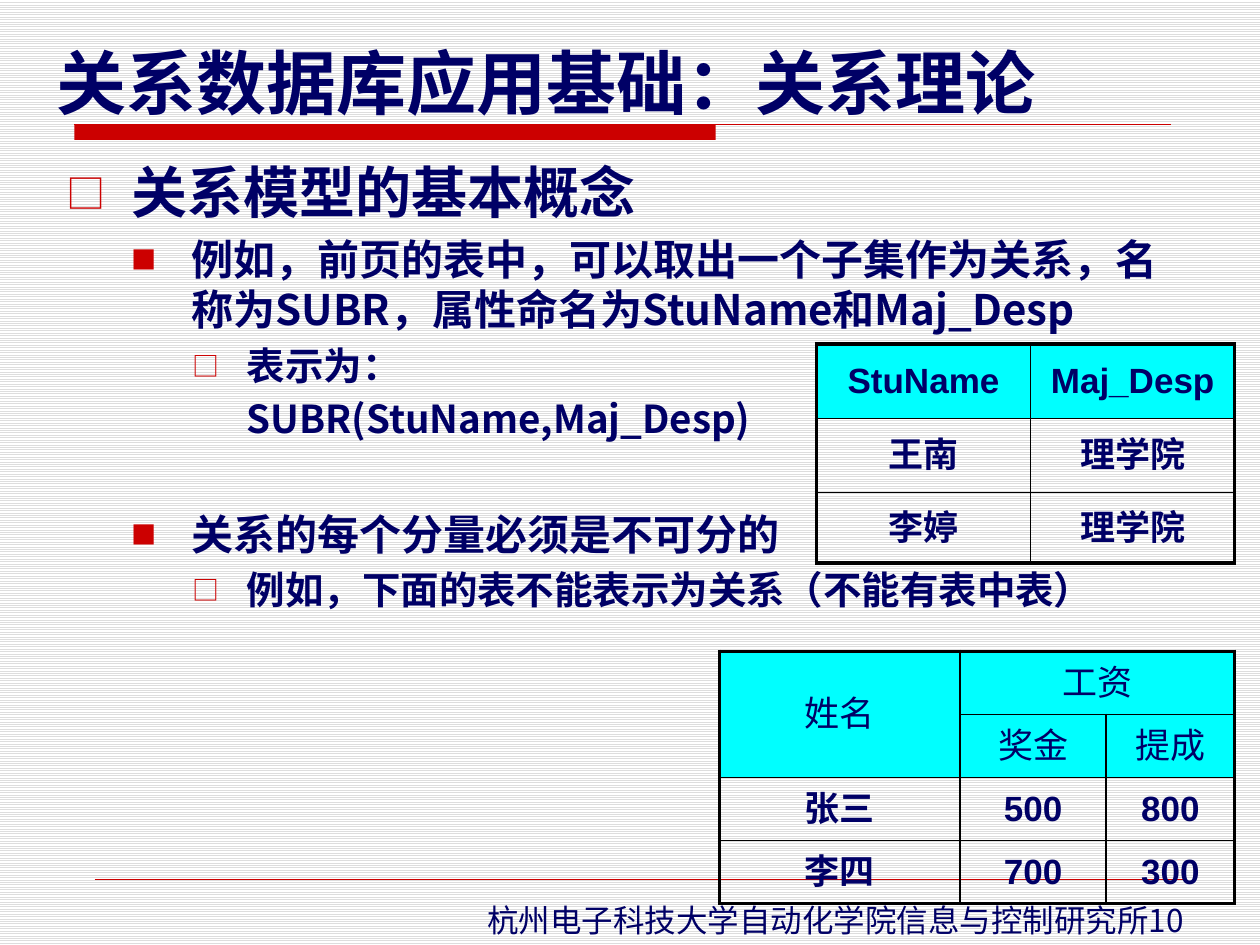
from lxml import etree
from pptx import Presentation
from pptx.dml.color import RGBColor
from pptx.enum import dml, shapes, text
from pptx.oxml import ns
from pptx.util import Inches, Pt

NAVY = RGBColor(0x00, 0x00, 0x66)
RED = RGBColor(0xCC, 0x00, 0x00)
CYAN = RGBColor(0x00, 0xFF, 0xFF)
BLACK = RGBColor(0x00, 0x00, 0x00)
WHITE = RGBColor(0xFF, 0xFF, 0xFF)
GREY = RGBColor(0xDD, 0xDD, 0xDD)
SANS = "Noto Sans CJK SC"
HEAD = "DejaVu Sans"
CELL = "Arial"

LEVELS = [(0.51, 0.51, 32, "□", 70), (0.99, 0.48, 24, "■", 60), (1.43, 0.43, 22, "□", 70)]
POINTS = [
    (0, True, "关系模型的基本概念"),
    (1, True, "例如，前页的表中，可以取出一个子集作为关系，名称为SUBR，属性命名为StuName和Maj_Desp"),
    (2, True, "表示为："),
    (2, False, "SUBR(StuName,Maj_Desp)"),
    (1, True, "关系的每个分量必须是不可分的"),
    (2, True, "例如，下面的表不能表示为关系（不能有表中表）"),
]
GAP_AT = 4
SUBSET = [["StuName", "Maj_Desp"], ["王南", "理学院"], ["李婷", "理学院"]]
WAGES = [["姓名", "工资", ""], ["", "奖金", "提成"], ["张三", "500", "800"], ["李四", "700", "300"]]


def add(parent, tag, **attrs):
    """Append a DrawingML element and return it."""
    node = etree.SubElement(parent, ns.qn("a:" + tag))
    for key, value in attrs.items():
        node.set(key, str(value))
    return node


def style(para, font, size, bold=False):
    """Format every run of a paragraph."""
    for run in para.runs:
        run.font.name = font
        run.font.size = Pt(size)
        run.font.bold = bold
        run.font.color.rgb = NAVY
        add(run._r.get_or_add_rPr(), "ea", typeface=font)


def place(shape, left, top, width, height):
    """Set the box of a shape in inches."""
    shape.left, shape.top = Inches(left), Inches(top)
    shape.width, shape.height = Inches(width), Inches(height)


def add_rule(slide, left, top, width, weight):
    """Draw a horizontal red line."""
    rule = slide.shapes.add_connector(
        shapes.MSO_CONNECTOR.STRAIGHT, Inches(left), Inches(top), Inches(left + width), Inches(top))
    rule.line.color.rgb = RED
    rule.line.width = Pt(weight)
    add(rule._element.spPr, "effectLst")


def add_head(slide, left, top, width, height):
    """Place the title with its bar and rule."""
    title = slide.shapes.title
    place(title, left, top, width, height)
    frame = title.text_frame
    frame.text = "关系数据库应用基础：关系理论"
    frame.vertical_anchor = text.MSO_ANCHOR.BOTTOM
    frame.auto_size = text.MSO_AUTO_SIZE.NONE
    para = frame.paragraphs[0]
    para.alignment = text.PP_ALIGN.LEFT
    style(para, HEAD, 40, True)
    x, y = left + 0.24, top + 0.78
    bar = slide.shapes.add_shape(
        shapes.MSO_SHAPE.RECTANGLE, Inches(x), Inches(y), Inches(5.09), Inches(0.12))
    bar.shadow.inherit = False
    bar.fill.solid()
    bar.fill.fore_color.rgb = RED
    bar.line.fill.background()
    add_rule(slide, x, y, 8.7, 0.75)


def add_bullet(para, level, shown):
    """Set the indent and the bullet of a paragraph."""
    left, hang, _, char, scale = LEVELS[level]
    props = para._p.get_or_add_pPr()
    props.set("marL", str(Inches(left)))
    props.set("indent", str(-Inches(hang) if shown else 0))
    if shown:
        add(add(props, "buClr"), "srgbClr", val=RED)
        add(props, "buSzPct", val=scale * 1000)
        add(props, "buFont", typeface=SANS)
        add(props, "buChar", char=char)
    else:
        add(props, "buNone")


def add_body(slide, left, top, width, height):
    """Fill the body placeholder with the outline."""
    body = slide.placeholders[1]
    place(body, left, top, width, height)
    frame = body.text_frame
    frame.auto_size = text.MSO_AUTO_SIZE.NONE
    frame.margin_top = Inches(0.1)
    frame.text = "\n".join(line for _, _, line in POINTS)
    for i, (para, (level, shown, _)) in enumerate(zip(frame.paragraphs, POINTS)):
        size = LEVELS[level][2]
        para.level = level
        add_bullet(para, level, shown)
        para.line_spacing = Pt(round(size * 1.2, 1))
        para.space_before = Pt(0 if i == 0 else 38 if i == GAP_AT else round(size * 0.2, 1))
        style(para, SANS, size, True)


def add_foot(slide, left, top, width, height):
    """Place the footer line and its text."""
    add_rule(slide, 0.75, top - 0.12, 8.66, 0.25)
    box = slide.shapes.add_textbox(Inches(left), Inches(top), Inches(width), Inches(height))
    box.text_frame.text = "杭州电子科技大学自动化学院信息与控制研究所10"
    box.text_frame.word_wrap = False
    style(box.text_frame.paragraphs[0], SANS, 18)


def add_edges(cell, thick):
    """Draw the four borders of a cell, thick on the given sides."""
    props = cell._tc.get_or_add_tcPr()
    for i, side in enumerate("LRTB"):
        line = etree.Element(ns.qn("a:ln" + side))
        line.set("w", str(Pt(2.25 if side in thick else 1)))
        add(add(line, "solidFill"), "srgbClr", val=BLACK)
        props.insert(i, line)


def add_grid(slide, left, top, widths, heights, data, heads, light=0, merges=()):
    """Place a bordered table with cyan head rows."""
    rows, cols = len(heights), len(widths)
    grid = slide.shapes.add_table(
        rows, cols, Inches(left), Inches(top), Inches(sum(widths)), Inches(sum(heights))).table
    for col, width in zip(grid.columns, widths):
        col.width = Inches(width)
    for row, height in zip(grid.rows, heights):
        row.height = Inches(height)
    for first, last in merges:
        grid.cell(*first).merge(grid.cell(*last))
    for r, line in enumerate(data):
        for c, word in enumerate(line):
            cell = grid.cell(r, c)
            if r < heads:
                cell.fill.solid()
                cell.fill.fore_color.rgb = CYAN
            else:
                cell.fill.background()
            high, wide = (cell.span_height, cell.span_width) if cell.is_merge_origin else (1, 1)
            sides = zip("LRTB", (c == 0, c + wide == cols, r == 0, r + high == rows))
            add_edges(cell, [side for side, outer in sides if outer])
            cell.vertical_anchor = text.MSO_ANCHOR.MIDDLE
            if word:
                cell.text_frame.text = word
                para = cell.text_frame.paragraphs[0]
                para.alignment = text.PP_ALIGN.CENTER
                style(para, CELL, 20, r >= light)


def main():
    """Build and save the slide."""
    deck = Presentation()
    deck.slide_width, deck.slide_height = Inches(10), Inches(7.5)
    slide = deck.slides.add_slide(deck.slide_layouts[1])
    back = slide.background.fill
    back.patterned()
    back.pattern = dml.MSO_PATTERN.LIGHT_HORIZONTAL
    back.fore_color.rgb = GREY
    back.back_color.rgb = WHITE
    add_head(slide, 0.35, 0.21, 9.37, 0.82)
    add_foot(slide, 3.77, 7.1, 6.11, 0.4)
    add_body(slide, 0.43, 1.15, 9.08, 4.5)
    add_grid(slide, 6.48, 2.73, [1.7, 1.62], [0.59, 0.59, 0.56], SUBSET, 1)
    add_grid(slide, 5.71, 5.17, [1.91, 1.16, 1.02], [0.5] * 4, WAGES, 2, 2,
             [((0, 0), (1, 0)), ((0, 1), (0, 2))])
    deck.save("out.pptx")


if __name__ == "__main__":
    main()
